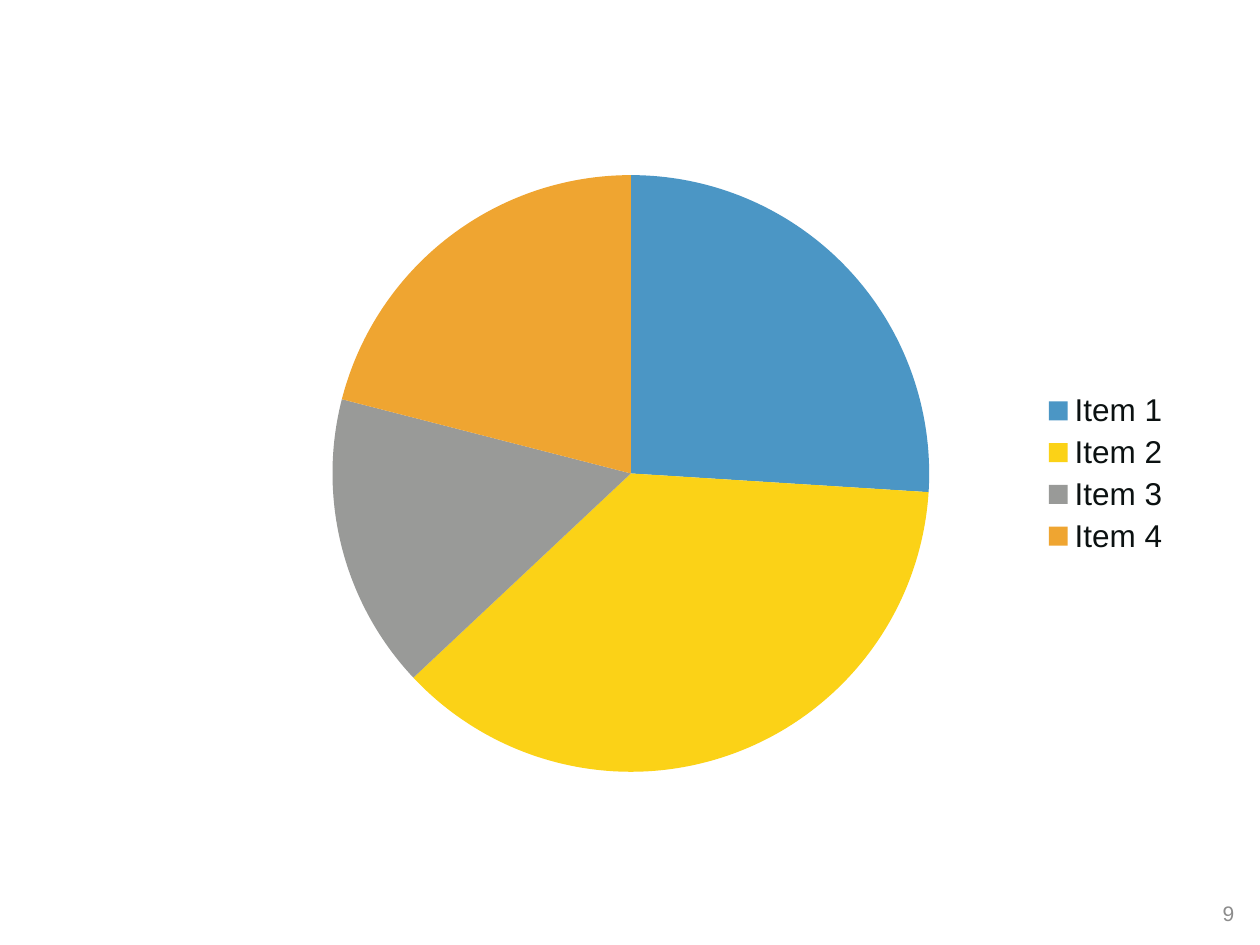
from pptx import Presentation
from pptx.chart.data import CategoryChartData
from pptx.dml.color import RGBColor
from pptx.enum.chart import XL_CHART_TYPE, XL_LEGEND_POSITION
from pptx.enum.text import MSO_ANCHOR, PP_ALIGN
from pptx.util import Cm, Pt

COLORS = {
    "text": "0B1111",
    "number": "8C8C8C",
    "Item 1": "4B96C5",
    "Item 2": "FBD217",
    "Item 3": "999A98",
    "Item 4": "EFA531",
}
SHARES = {"Item 1": 26, "Item 2": 37, "Item 3": 16, "Item 4": 21}


class Deck:
    font = "Arial"

    def __init__(self, width, height):
        self.prs = Presentation()
        self.prs.slide_width = Cm(width)
        self.prs.slide_height = Cm(height)
        self.s = self.prs.slides.add_slide(self.prs.slide_layouts[6])

    def style(self, font, size, color):
        font.name = self.font
        font.size = Pt(size)
        font.color.rgb = RGBColor.from_string(COLORS[color])

    def text(self, text, x, y, w, h, size, color):
        tf = self.s.shapes.add_textbox(Cm(x), Cm(y), Cm(w), Cm(h)).text_frame
        tf.word_wrap = True
        tf.vertical_anchor = MSO_ANCHOR.MIDDLE
        p = tf.paragraphs[0]
        p.text = text
        p.alignment = PP_ALIGN.CENTER
        self.style(p.font, size, color)

    def pie(self, shares, x, y, w, h, size, color):
        data = CategoryChartData()
        data.categories = list(shares)
        data.add_series("Series 1", list(shares.values()))
        chart = self.s.shapes.add_chart(
            XL_CHART_TYPE.PIE, Cm(x), Cm(y), Cm(w), Cm(h), data
        ).chart
        self.style(chart.font, size, color)
        chart.has_title = False
        chart.has_legend = True
        chart.legend.position = XL_LEGEND_POSITION.RIGHT
        chart.legend.include_in_layout = False
        plot = chart.plots[0]
        plot.vary_by_categories = True
        for i, name in enumerate(shares):
            point = plot.series[0].points[i].format
            point.fill.solid()
            point.fill.fore_color.rgb = RGBColor.from_string(COLORS[name])
            point.line.fill.background()


def main():
    deck = Deck(25.4, 19.05)
    deck.text("9", 24.13, 17.78, 1.27, 1.27, 12, "number")
    deck.pie(SHARES, 4.5, 3.18, 19.35, 12.73, 18, "text")
    deck.prs.save("out.pptx")


if __name__ == "__main__":
    main()
